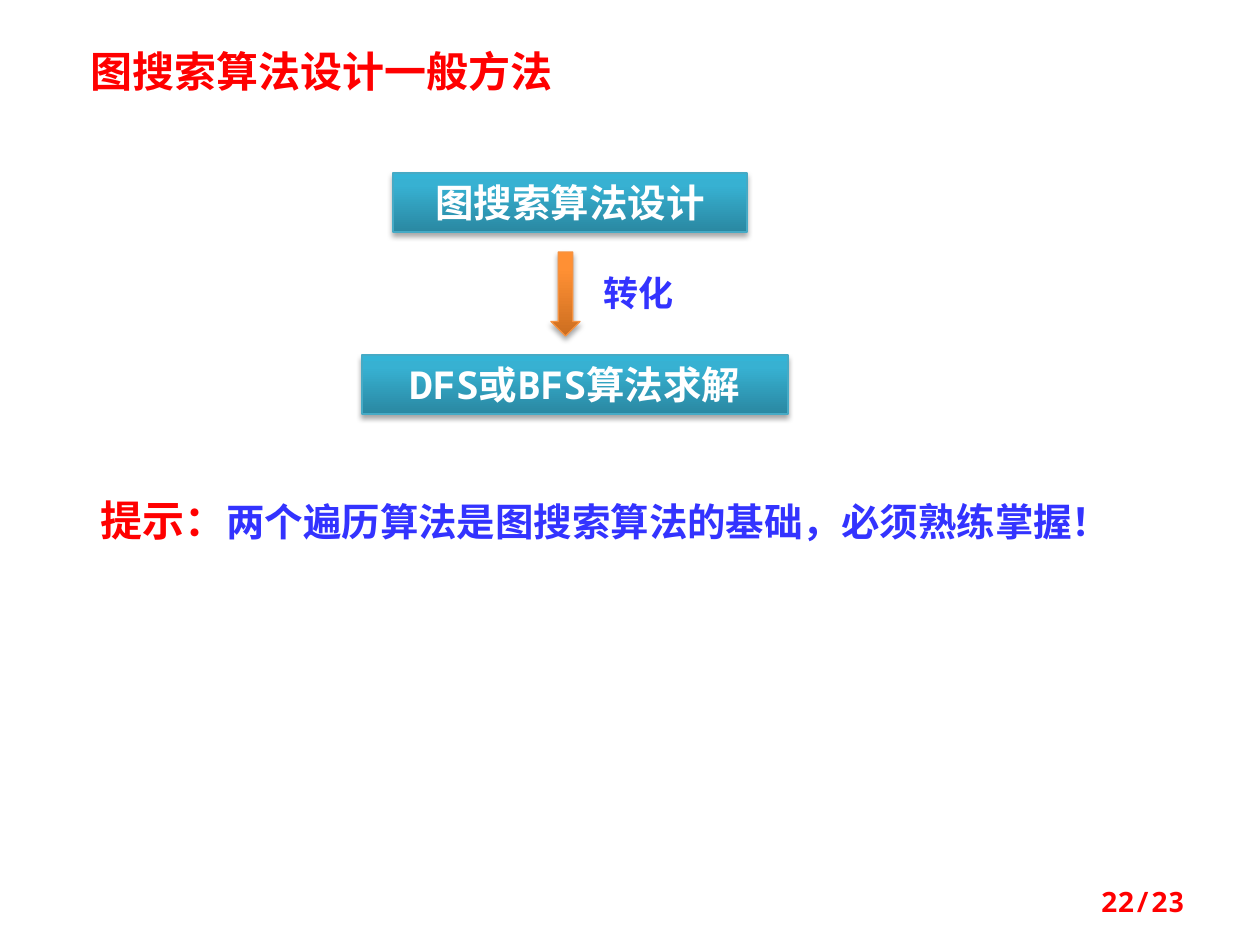
from lxml import etree
from pptx import Presentation
from pptx.dml.color import RGBColor
from pptx.enum.shapes import MSO_SHAPE
from pptx.enum.text import MSO_ANCHOR, MSO_AUTO_SIZE, PP_ALIGN
from pptx.oxml.ns import qn
from pptx.util import Pt

SCALE = 914400 / 126
SANS = "Noto Sans CJK SC"
MONO = "Noto Sans Mono"

RED = RGBColor(0xFF, 0x00, 0x00)
BLUE = RGBColor(0x33, 0x33, 0xFF)
WHITE = RGBColor(0xFF, 0xFF, 0xFF)
BLACK = RGBColor(0x00, 0x00, 0x00)
TEAL_LINE = RGBColor(0x46, 0xAA, 0xC5)
TEAL_STOPS = (
    (0, RGBColor(0x2A, 0x88, 0xA2)),
    (80, RGBColor(0x37, 0xB1, 0xD2)),
    (100, RGBColor(0x34, 0xB4, 0xD6)),
)
ORANGE_LINE = RGBColor(0xF6, 0x92, 0x40)
ORANGE_STOPS = (
    (0, RGBColor(0xCC, 0x6E, 0x20)),
    (80, RGBColor(0xFF, 0x90, 0x34)),
    (100, RGBColor(0xFF, 0x91, 0x36)),
)

RECTANGLE = MSO_SHAPE.RECTANGLE
DOWN_ARROW = MSO_SHAPE.DOWN_ARROW
LEFT, CENTER, RIGHT = PP_ALIGN.LEFT, PP_ALIGN.CENTER, PP_ALIGN.RIGHT
TOP, MIDDLE = MSO_ANCHOR.TOP, MSO_ANCHOR.MIDDLE
GROW, FIXED = MSO_AUTO_SIZE.SHAPE_TO_FIT_TEXT, MSO_AUTO_SIZE.NONE


def px(value):
    return round(value * SCALE)


def add_color(parent, color):
    return etree.SubElement(parent, qn("a:srgbClr"), val=str(color))


def write_text(box, runs, align=LEFT, anchor=TOP, auto_size=GROW):
    frame = box.text_frame
    settings = {"word_wrap": True, "auto_size": auto_size, "vertical_anchor": anchor}
    for name, value in settings.items():
        setattr(frame, name, value)
    para = frame.paragraphs[0]
    para.alignment = align
    for text, size, color, font in runs:
        span = para.add_run()
        span.text = text
        for name, value in {"name": font, "size": Pt(size), "bold": True}.items():
            setattr(span.font, name, value)
        span.font.color.rgb = color
        latin = span.font._element.find(qn("a:latin"))
        east_asian = etree.Element(qn("a:ea"), typeface=SANS)
        latin.addnext(east_asian)


def add_text(page, bounds, runs, **layout):
    box = page.shapes.add_textbox(*map(px, bounds))
    write_text(box, runs, **layout)


def set_gradient(shape, stops):
    shape.fill.gradient()
    shape.fill.gradient_angle = 90
    stop_list = shape._element.spPr.find(qn("a:gradFill")).find(qn("a:gsLst"))
    stop_list.clear()
    for position, color in stops:
        stop = etree.SubElement(stop_list, qn("a:gs"), pos=str(position * 1000))
        add_color(stop, color)


def set_shadow(shape):
    shape.shadow.inherit = False
    effects = shape._element.spPr.find(qn("a:effectLst"))
    shadow = etree.SubElement(
        effects, qn("a:outerShdw"), blurRad=str(Pt(3.1)), dist=str(Pt(1.8)),
        dir="5400000", rotWithShape="0",
    )
    etree.SubElement(add_color(shadow, BLACK), qn("a:alpha"), val="35000")


def add_glossy_shape(page, kind, bounds, stops, line_color):
    shape = page.shapes.add_shape(kind, *map(px, bounds))
    set_gradient(shape, stops)
    shape.line.color.rgb = line_color
    shape.line.width = Pt(0.75)
    set_shadow(shape)
    return shape


def add_step(page, bounds, text):
    step = add_glossy_shape(page, RECTANGLE, bounds, TEAL_STOPS, TEAL_LINE)
    write_text(step, [(text, 22, WHITE, MONO)], align=CENTER)


def main():
    deck = Presentation()
    deck.slide_width, deck.slide_height = px(1260), px(945)
    page = deck.slides.add_slide(deck.slide_layouts[6])

    add_text(page, (78, 39, 591, 63), [("图搜索算法设计一般方法", 24, RED, SANS)])
    add_step(page, (393, 173, 354, 59), "图搜索算法设计")
    add_glossy_shape(page, DOWN_ARROW, (551, 252, 29, 84), ORANGE_STOPS, ORANGE_LINE)
    add_text(page, (591, 265, 118, 55), [("转化", 20, BLUE, SANS)])
    add_step(page, (362, 355, 426, 59), "DFS或BFS算法求解")
    add_text(page, (88, 488, 1131, 63), [
        ("提示：", 24, RED, SANS),
        ("两个遍历算法是图搜索算法的基础，必须熟练掌握！", 22, BLUE, SANS),
    ])
    add_text(page, (903, 876, 294, 50), [("22/23", 16, RED, MONO)],
             align=RIGHT, anchor=MIDDLE, auto_size=FIXED)

    deck.save("out.pptx")


if __name__ == "__main__":
    main()
